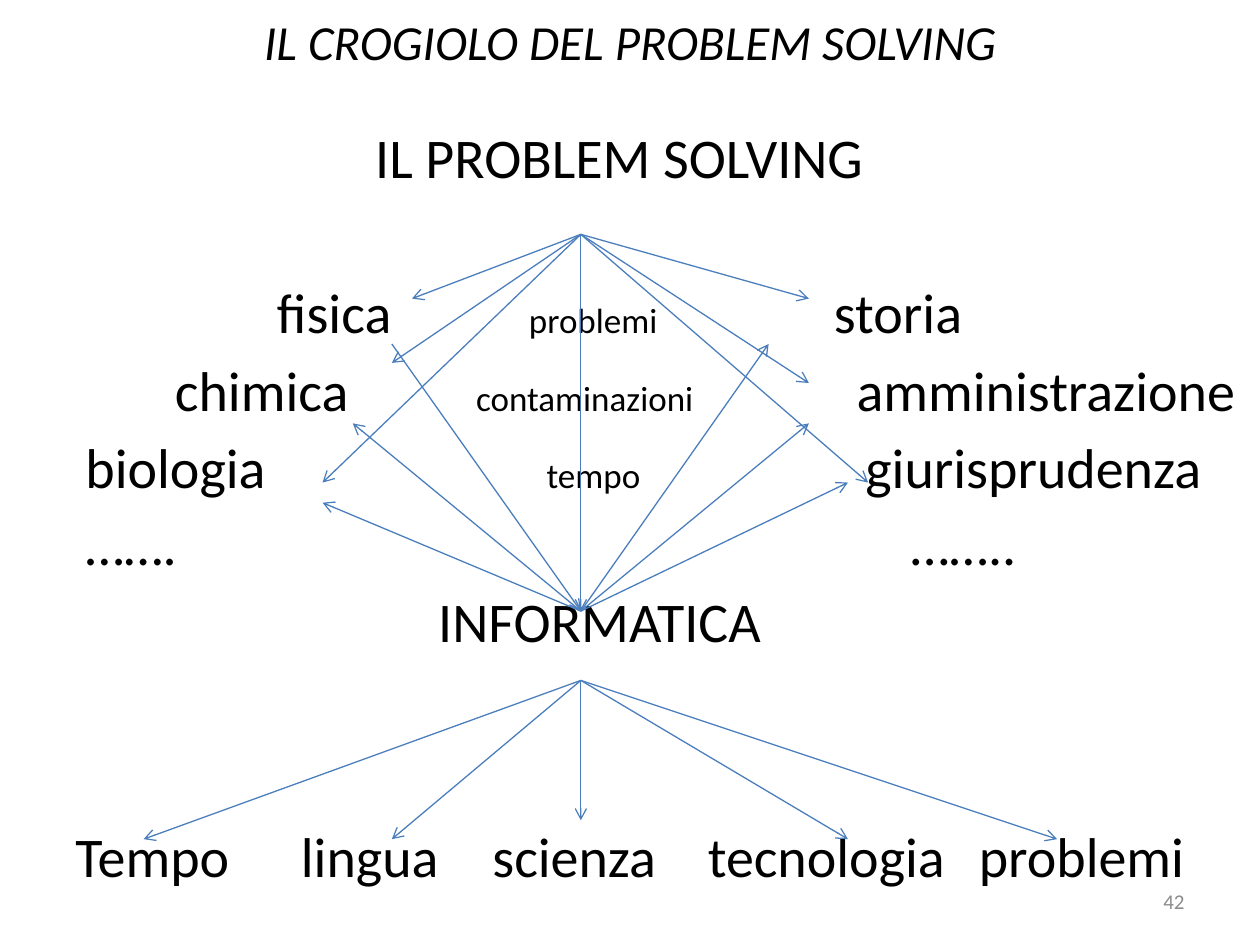
"""Build the problem solving slide with its fans of arrows between subjects."""
from pptx import Presentation
from pptx import util as u
from pptx.dml.color import RGBColor
from pptx.enum import shapes, text
from pptx.oxml.ns import qn
from lxml import etree

COLORS = {"text": "000000", "arrow": "4B7EBC", "number": "8C8C8C"}
FONT = "Calibri"
GAP, PITCH = 5.75, 44.8

TITLE = "IL CROGIOLO DEL PROBLEM SOLVING"
ROWS = [
    (0, [(2.38, "IL PROBLEM SOLVING", 32)]),
    (1, [(1.6, "fisica", 32), (3.6, "problemi", 20), (6.02, "storia", 32)]),
    (0, [(0.79, "chimica", 32), (3.18, "contaminazioni", 20), (6.2, "amministrazione", 32)]),
    (0, [(0.08, "biologia", 32), (3.74, "tempo", 20), (6.27, "giurisprudenza", 32)]),
    (0, [(0.08, "…….", 32), (6.63, "……..", 32)]),
    (0, [(2.88, "INFORMATICA", 32)]),
    (2, [(0, "Tempo", 32), (1.79, "lingua", 32), (3.31, "scienza", 32),
         (5.02, "tecnologia", 32), (7.17, "problemi", 32)]),
]

TOP, MIDDLE, BOTTOM = (4.61, 1.86), (4.61, 4.85), (4.61, 5.4)
FANS = [
    (TOP, [(3.11, 2.88), (6.42, 3.04), (3.27, 2.37), (6.42, 2.37),
           (2.56, 3.83), (6.89, 3.83), MIDDLE]),
    (MIDDLE, [(2.56, 3.99), (2.8, 3.36), (6.1, 2.73), (6.42, 3.36), (6.73, 3.83)]),
    ((3.11, 2.73), [MIDDLE]),
    (BOTTOM, [(1.14, 6.66), (3.11, 6.66), (4.61, 6.51), (6.73, 6.66), (8.39, 6.66)]),
]


def add_text(p, words, size=32, color="text", italic=False, align=text.PP_ALIGN.LEFT):
    p.alignment = align
    r = p.add_run()
    r.text = words
    f = r.font
    f.name, f.size, f.italic = FONT, u.Pt(size), italic
    f.color.rgb = RGBColor.from_string(COLORS[color])


def place(sp, *box):
    sp.left, sp.top, sp.width, sp.height = map(u.Inches, box)


def add_box(s, *box):
    tf = s.shapes.add_textbox(*map(u.Inches, box)).text_frame
    tf.word_wrap = True
    return tf


def add_tabs(p, stops):
    tabs = etree.SubElement(p._p.get_or_add_pPr(), qn("a:tabLst"))
    for stop in stops:
        etree.SubElement(tabs, qn("a:tab"), pos=str(u.Inches(stop)), algn="l")


def add_arrow(s, start, end):
    c = s.shapes.add_connector(shapes.MSO_CONNECTOR.STRAIGHT, *map(u.Inches, start + end))
    c.line.width = u.Pt(0.75)
    c.line.color.rgb = RGBColor.from_string(COLORS["arrow"])
    etree.SubElement(c.line._get_or_add_ln(), qn("a:tailEnd"), type="arrow")
    etree.SubElement(c._element.spPr, qn("a:effectLst"))


prs = Presentation()
prs.slide_width, prs.slide_height = u.Inches(10), u.Inches(7.5)
s = prs.slides.add_slide(prs.slide_layouts[5])

title = s.shapes.title
place(title, 0.5, 0.13, 9, 0.39)
title.text_frame.vertical_anchor = text.MSO_ANCHOR.MIDDLE
add_text(title.text_frame.paragraphs[0], TITLE, size=28, italic=True,
         align=text.PP_ALIGN.CENTER)

tf = add_box(s, 0.5, 0.92, 9.5, 6.58)
for i, (skipped, words) in enumerate(ROWS):
    p = tf.add_paragraph() if i else tf.paragraphs[0]
    p.space_before = u.Pt(GAP + skipped * PITCH)
    add_tabs(p, [x for x, _, _ in words if x])
    for x, word, size in words:
        add_text(p, "\t" + word if x else word, size=size)

for start, ends in FANS:
    for end in ends:
        add_arrow(s, start, end)

tf = add_box(s, 7.17, 6.95, 2.33, 0.4)
tf.vertical_anchor = text.MSO_ANCHOR.MIDDLE
add_text(tf.paragraphs[0], "42", size=12, color="number", align=text.PP_ALIGN.RIGHT)

prs.save("out.pptx")
